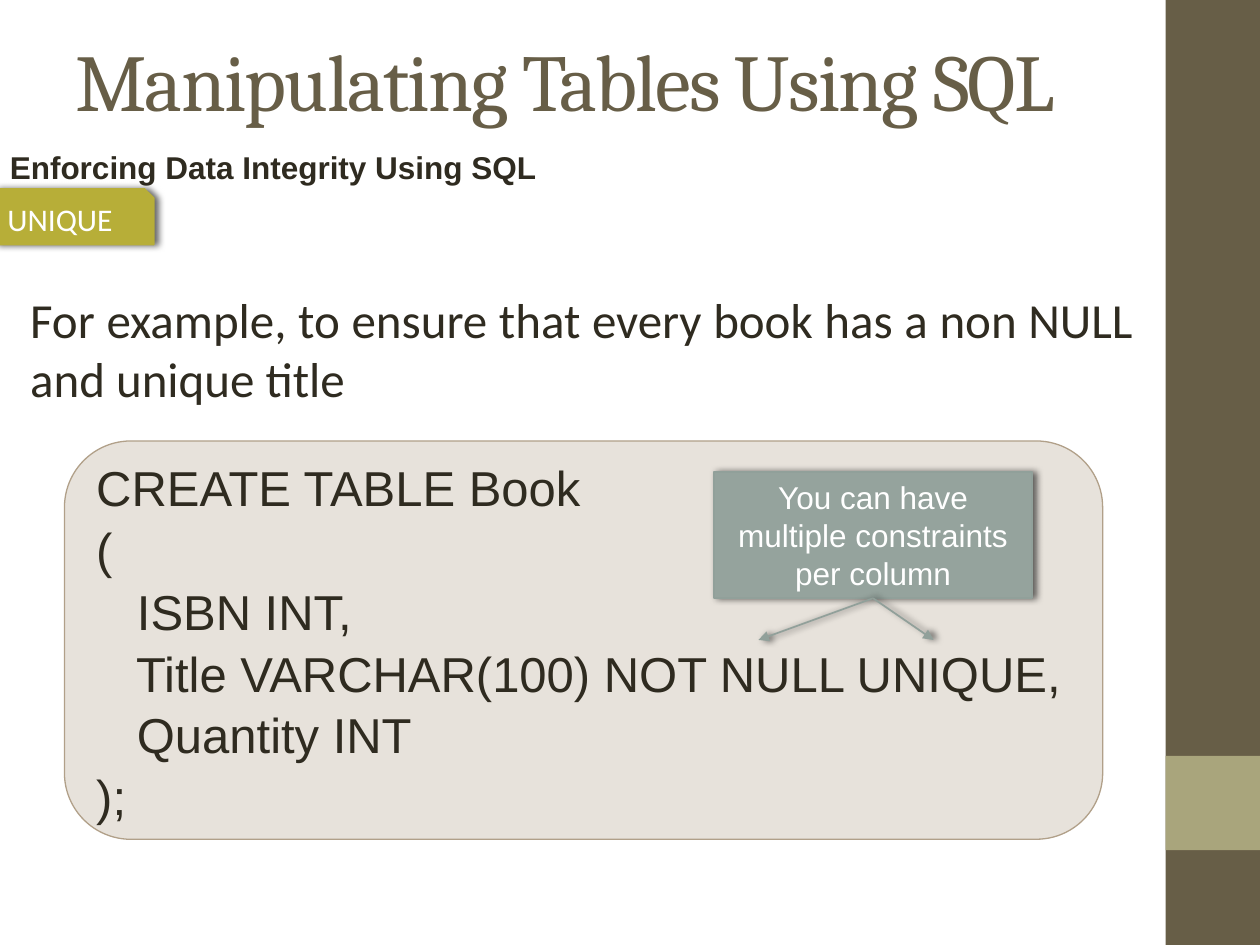
"""Build the slide on the UNIQUE constraint in SQL."""
from lxml.etree import SubElement
from pptx import Presentation
from pptx.dml.color import RGBColor
from pptx.enum.shapes import MSO_CONNECTOR, MSO_SHAPE
from pptx.enum.text import MSO_ANCHOR, PP_ALIGN
from pptx.oxml.ns import qn
from pptx.util import Cm, Pt

TITLE = "Manipulating Tables Using SQL"
SUBTITLE = "Enforcing Data Integrity Using SQL"
KEYWORD = "UNIQUE"
EXAMPLE = "For example, to ensure that every book has a non NULL and unique title"
CODE = [
    "CREATE TABLE Book",
    "(",
    "   ISBN INT,",
    "   Title VARCHAR(100) NOT NULL UNIQUE,",
    "   Quantity INT",
    ");",
]
CALLOUT = "You can have multiple constraints per column"

INK, BROWN, KHAKI, SAND = "2F2B20", "675E47", "A9A57C", "B1A089"
OLIVE, SAGE, SAGE_LINE, WHITE = "B7AE38", "95A39D", "91A09A", "FFFFFF"

SIDEBAR = [((23.5, 0, 1.9, 19.05), BROWN), ((23.5, 15.24, 1.9, 1.9), KHAKI)]
CALLOUT_BOX = (14.4, 9.52, 6.4, 2.54)
ARROW_TIPS = [(15.29, 12.9), (18.82, 12.9)]


def color(hex_code):
    return RGBColor.from_string(hex_code)


def add_panel(shapes, box, fill, line=None, width=1, preset=MSO_SHAPE.RECTANGLE):
    panel = shapes.add_shape(preset, *map(Cm, box))
    panel.shadow.inherit = False
    panel.fill.solid()
    panel.fill.fore_color.rgb = color(fill)
    if line:
        panel.line.color.rgb = color(line)
        panel.line.width = Pt(width)
    else:
        panel.line.fill.background()
    return panel


def add_label(shapes, box):
    return shapes.add_textbox(*map(Cm, box))


def write(holder, lines, size, face, ink, align=PP_ALIGN.LEFT,
          anchor=MSO_ANCHOR.TOP, spacing=None, bold=False):
    frame = holder.text_frame
    frame.word_wrap = True
    frame.vertical_anchor = anchor
    frame.text = "\n".join(lines)
    for paragraph in frame.paragraphs:
        paragraph.alignment = align
        paragraph.line_spacing = spacing
        paragraph.font.size = Pt(size)
        paragraph.font.name = face
        paragraph.font.bold = bold
        paragraph.font.color.rgb = color(ink)
    return frame


def set_alpha(color_element, percent):
    SubElement(color_element, qn("a:alpha"), val=str(percent * 1000))


def cast_shadow(part):
    properties = part._element.spPr
    effects = properties.find(qn("a:effectLst"))
    if effects is None:
        effects = SubElement(properties, qn("a:effectLst"))
    shadow = SubElement(effects, qn("a:outerShdw"), blurRad=str(Pt(4)),
                        dist=str(Pt(2)), dir="0", rotWithShape="0")
    set_alpha(SubElement(shadow, qn("a:srgbClr"), val="000000"), 60)


def add_arrow(shapes, start, tip):
    arrow = shapes.add_connector(MSO_CONNECTOR.STRAIGHT, *map(Cm, start + tip))
    arrow.line.color.rgb = color(SAGE_LINE)
    arrow.line.width = Pt(1)
    SubElement(arrow.line._get_or_add_ln(), qn("a:tailEnd"), type="triangle")
    cast_shadow(arrow)


def main():
    deck = Presentation()
    deck.slide_width, deck.slide_height = Cm(25.4), Cm(19.05)
    shapes = deck.slides.add_slide(deck.slide_layouts[6]).shapes

    for box, fill in SIDEBAR:
        add_panel(shapes, box, fill)

    code_panel = add_panel(shapes, (1.3, 8.89, 20.93, 8.03), SAND, SAND, 0.75,
                           MSO_SHAPE.ROUNDED_RECTANGLE)
    set_alpha(code_panel._element.spPr.find(qn("a:solidFill"))[0], 30)
    write(code_panel, CODE, 28, "Arial", INK, anchor=MSO_ANCHOR.MIDDLE, spacing=1.05)

    subtitle = write(add_label(shapes, (0, 3.12, 22.71, 0.89)), [SUBTITLE], 18,
                     "Arial", INK, spacing=Pt(18), bold=True)
    subtitle.margin_left = subtitle.margin_right = Cm(0.2)
    subtitle.margin_top = subtitle.margin_bottom = 0

    write(add_label(shapes, (0.36, 5.72, 22.73, 3)), [EXAMPLE], 28, "Calibri", INK,
          PP_ALIGN.JUSTIFY)

    callout_group = shapes.add_group_shape().shapes
    callout = add_panel(callout_group, CALLOUT_BOX, SAGE, SAGE_LINE)
    cast_shadow(callout)
    write(callout, [CALLOUT], 18, "Arial", WHITE, PP_ALIGN.CENTER)
    left, top, width, height = CALLOUT_BOX
    for tip in ARROW_TIPS:
        add_arrow(callout_group, (left + width / 2, top + height), tip)

    keyword = add_panel(shapes, (-0.1, 3.81, 3.2, 1.12), OLIVE, OLIVE,
                        preset=MSO_SHAPE.SNIP_1_RECTANGLE)
    cast_shadow(keyword)
    write(keyword, [KEYWORD], 18, "Calibri", WHITE, PP_ALIGN.JUSTIFY, MSO_ANCHOR.MIDDLE)

    title = write(add_label(shapes, (1.27, 0, 21.16, 3.18)), [TITLE], 46, "Cambria",
                  BROWN, anchor=MSO_ANCHOR.MIDDLE)
    title.paragraphs[0].runs[0].font._element.set("spc", "-100")

    deck.save("out.pptx")


if __name__ == "__main__":
    main()
